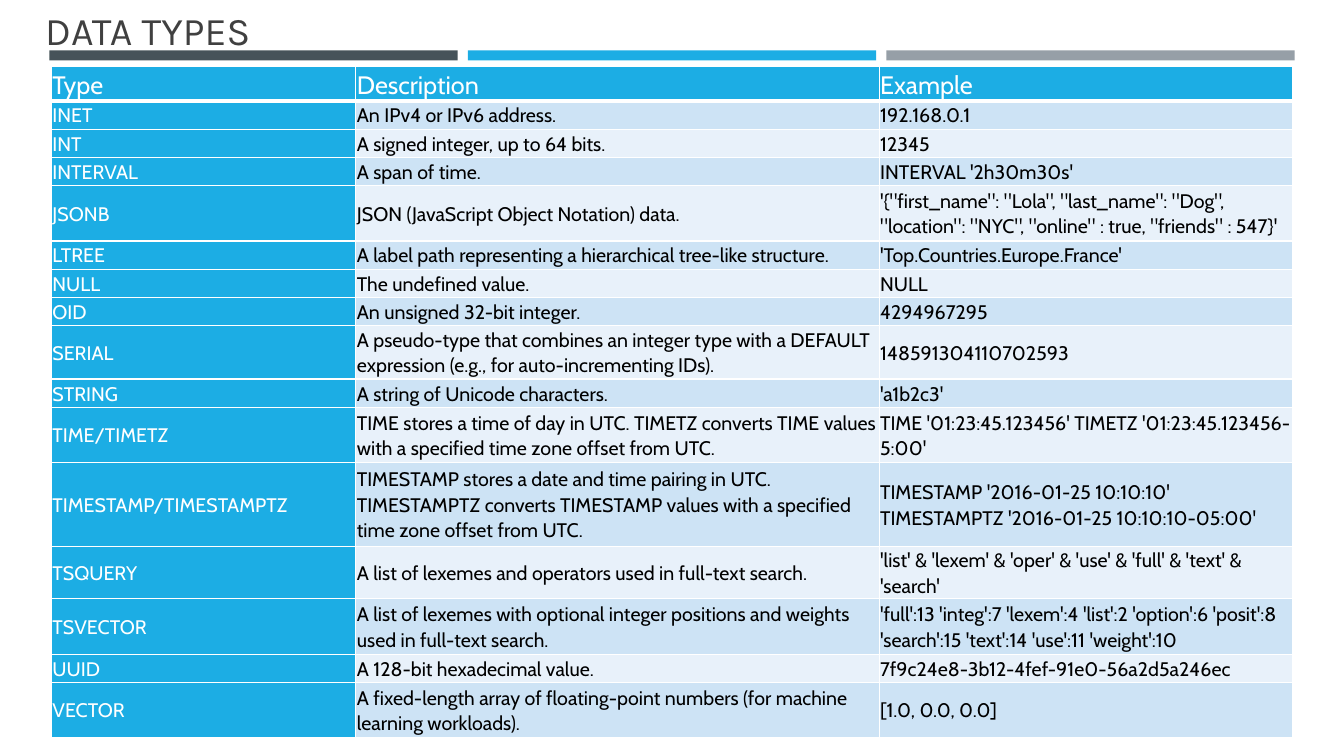
from lxml import etree
from pptx import Presentation
from pptx.dml.color import RGBColor
from pptx.enum.shapes import MSO_SHAPE
from pptx.enum.text import MSO_ANCHOR
from pptx.oxml.ns import qn
from pptx.util import Inches, Pt

RECTANGLE = MSO_SHAPE.RECTANGLE
MIDDLE, BOTTOM = MSO_ANCHOR.MIDDLE, MSO_ANCHOR.BOTTOM

WHITE, BLACK, BLUE = "FFFFFF", "000000", "1CADE4"
BANDS = ["E8F1FA", "CDE3F5"]

TITLE = "DATA TYPES"
TITLE_FORMAT = {"name": "Karla", "size": Pt(28)}
BAR_COLORS = ["465359", BLUE, "969FA7"]
BAR_LEFT, BAR_TOP, BAR_WIDTH, BAR_HEIGHT, BAR_STEP = 0.49, 0.5, 4.05, 0.1, 4.15

TABLE_LEFT, TABLE_TOP = 0.51, 0.66
COLUMN_WIDTHS = [3.02, 5.19, 4.1]
CELL_MARGIN = 0.01
HEADER_FORMAT = {"name": "Cabin", "size": Pt(18)}
BODY_FORMAT = {"name": "Cabin", "size": Pt(14)}

# Row height in inches, then type, description and example
ROWS = [
    (0.28, "Type", "Description", "Example"),
    (0.28, "INET", "An IPv4 or IPv6 address.", "192.168.0.1"),
    (0.28, "INT", "A signed integer, up to 64 bits.", "12345"),
    (0.28, "INTERVAL", "A span of time.", "INTERVAL '2h30m30s'"),
    (0.55, "JSONB", "JSON (JavaScript Object Notation) data.",
     "'{\"first_name\": \"Lola\", \"last_name\": \"Dog\", "
     "\"location\": \"NYC\", \"online\" : true, \"friends\" : 547}'"),
    (0.28, "LTREE", "A label path representing a hierarchical tree-like structure.",
     "'Top.Countries.Europe.France'"),
    (0.28, "NULL", "The undefined value.", "NULL"),
    (0.28, "OID", "An unsigned 32-bit integer.", "4294967295"),
    (0.53, "SERIAL",
     "A pseudo-type that combines an integer type with a DEFAULT expression "
     "(e.g., for auto-incrementing IDs).", "148591304110702593"),
    (0.28, "STRING", "A string of Unicode characters.", "'a1b2c3'"),
    (0.55, "TIME/TIMETZ",
     "TIME stores a time of day in UTC. TIMETZ converts TIME values "
     "with a specified time zone offset from UTC.",
     "TIME '01:23:45.123456' TIMETZ '01:23:45.123456-5:00'"),
    (0.83, "TIMESTAMP/TIMESTAMPTZ",
     "TIMESTAMP stores a date and time pairing in UTC. TIMESTAMPTZ converts "
     "TIMESTAMP values with a specified time zone offset from UTC.",
     "TIMESTAMP '2016-01-25 10:10:10' TIMESTAMPTZ '2016-01-25 10:10:10-05:00'"),
    (0.28, "TSQUERY", "A list of lexemes and operators used in full-text search.",
     "'list' & 'lexem' & 'oper' & 'use' & 'full' & 'text' & 'search'"),
    (0.55, "TSVECTOR",
     "A list of lexemes with optional integer positions and weights "
     "used in full-text search.",
     "'full':13 'integ':7 'lexem':4 'list':2 'option':6 'posit':8 "
     "'search':15 'text':14 'use':11 'weight':10"),
    (0.28, "UUID", "A 128-bit hexadecimal value.",
     "7f9c24e8-3b12-4fef-91e0-56a2d5a246ec"),
    (0.55, "VECTOR",
     "A fixed-length array of floating-point numbers (for machine learning workloads).",
     "[1.0, 0.0, 0.0]"),
]


def set_fill(item, color):
    item.fill.solid()
    item.fill.fore_color.rgb = RGBColor.from_string(color)


def write(frame, text, color, font_format):
    """Put one formatted run in a text frame and return its paragraph."""
    paragraph = frame.paragraphs[0]
    run = paragraph.add_run()
    run.text = text
    run.font.color.rgb = RGBColor.from_string(color)
    for name, value in font_format.items():
        setattr(run.font, name, value)
    return paragraph


def set_borders(cell, bottom_width):
    """Draw white cell borders, 1 pt wide except at the bottom."""
    properties = cell._tc.get_or_add_tcPr()
    widths = {"a:lnL": 1, "a:lnR": 1, "a:lnT": 1, "a:lnB": bottom_width}
    for position, (tag, width) in enumerate(widths.items()):
        line = etree.Element(qn(tag), w=str(Pt(width)))
        fill = etree.SubElement(line, qn("a:solidFill"))
        etree.SubElement(fill, qn("a:srgbClr"), val=WHITE)
        properties.insert(position, line)


def add_title(slide):
    box = slide.shapes.add_textbox(Inches(0.35), Inches(-0.2), Inches(12.06), Inches(0.78))
    box.text_frame.word_wrap = True
    box.text_frame.vertical_anchor = BOTTOM
    write(box.text_frame, TITLE, "404040", TITLE_FORMAT)


def add_bars(slide):
    for index, color in enumerate(BAR_COLORS):
        bar = slide.shapes.add_shape(
            RECTANGLE, Inches(BAR_LEFT + index * BAR_STEP), Inches(BAR_TOP),
            Inches(BAR_WIDTH), Inches(BAR_HEIGHT))
        bar.shadow.inherit = False
        bar.line.fill.background()
        set_fill(bar, color)


def fill_cell(cell, text, row_index, column_index):
    is_header = row_index == 0
    is_label = is_header or column_index == 0
    set_fill(cell, BLUE if is_label else BANDS[row_index % 2])
    set_borders(cell, 3 if is_header else 1)
    cell.vertical_anchor = MIDDLE
    for side in ("left", "right", "top", "bottom"):
        setattr(cell, f"margin_{side}", Inches(CELL_MARGIN))
    paragraph = write(cell.text_frame, text, WHITE if is_label else BLACK,
                      HEADER_FORMAT if is_header else BODY_FORMAT)
    paragraph.line_spacing = 1.07


def add_type_table(slide):
    height = sum(row[0] for row in ROWS)
    table = slide.shapes.add_table(
        len(ROWS), len(COLUMN_WIDTHS), Inches(TABLE_LEFT), Inches(TABLE_TOP),
        Inches(sum(COLUMN_WIDTHS)), Inches(height)).table
    for column, width in zip(table.columns, COLUMN_WIDTHS):
        column.width = Inches(width)
    for row_index, (row_height, *texts) in enumerate(ROWS):
        table.rows[row_index].height = Inches(row_height)
        for column_index, text in enumerate(texts):
            fill_cell(table.cell(row_index, column_index), text, row_index, column_index)


def main():
    presentation = Presentation()
    presentation.slide_width = Inches(13.33)
    presentation.slide_height = Inches(7.5)
    slide = presentation.slides.add_slide(presentation.slide_layouts[6])
    add_bars(slide)
    add_title(slide)
    add_type_table(slide)
    presentation.save("out.pptx")


if __name__ == "__main__":
    main()
